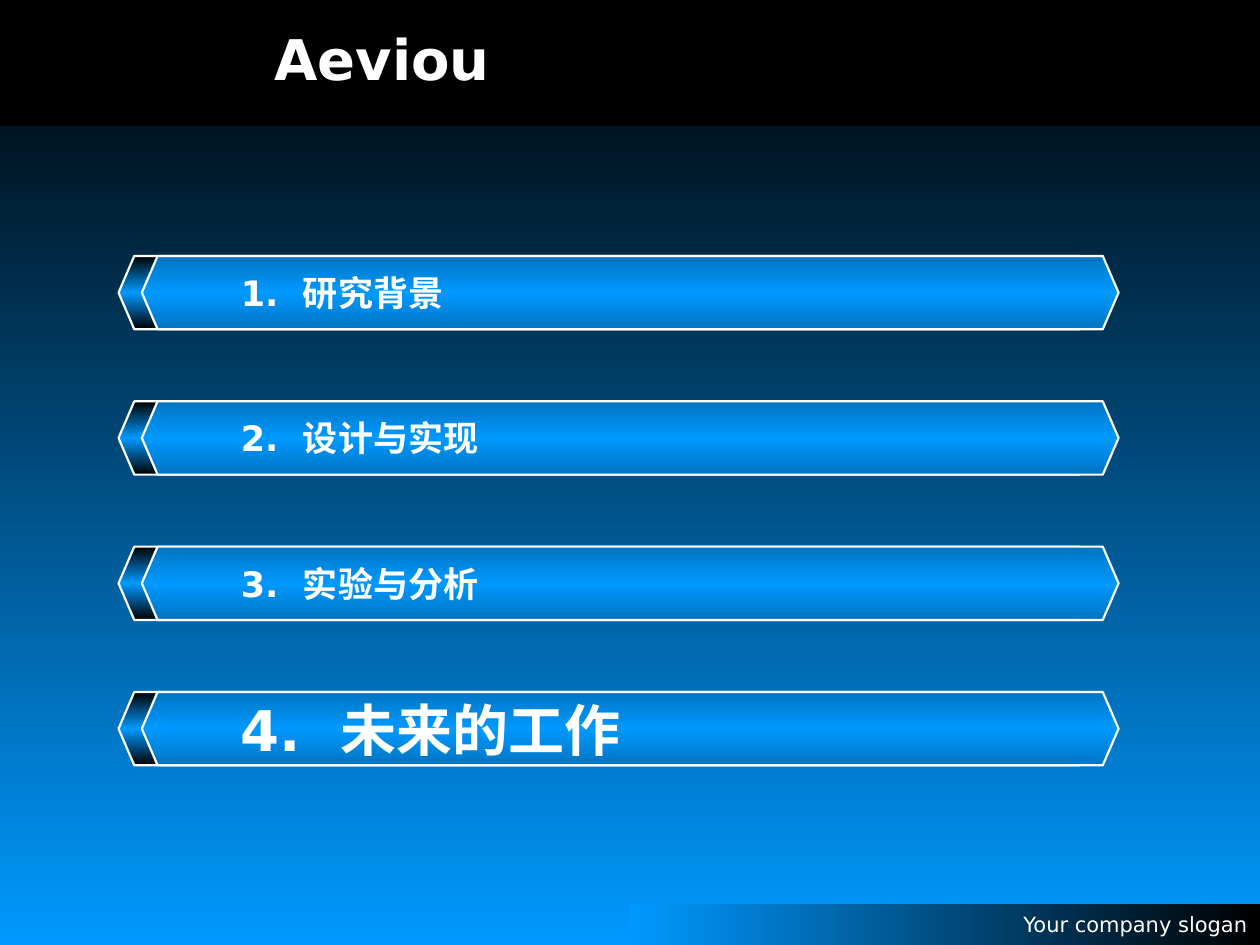
from dataclasses import dataclass

from lxml.etree import SubElement
from pptx import Presentation
from pptx.dml.color import RGBColor
from pptx.enum.shapes import MSO_SHAPE
from pptx.enum.text import MSO_ANCHOR, PP_ALIGN
from pptx.oxml.ns import qn
from pptx.util import Cm, Pt

# Content: number, heading, whether it is the current section
TITLE = "Aeviou"
SLOGAN = "Your company slogan"
SECTIONS = [
    ("1.", "研究背景", False),
    ("2.", "设计与实现", False),
    ("3.", "实验与分析", False),
    ("4.", "未来的工作", True),
]


@dataclass(frozen=True)
class Theme:
    font: str = "DejaVu Sans"
    white: str = "FFFFFF"
    black: str = "000000"
    bright: str = "0099FF"
    deep: str = "0074C1"
    title_size: int = 32
    section_size: int = 20
    current_size: int = 32
    slogan_size: int = 12
    outline: float = 1.25


THEME = Theme()

# Layout in centimetres
WIDTH, HEIGHT = 25.4, 19.05
HEADER_HEIGHT = 2.54
FOOTER_HEIGHT = 0.82
BAR_WIDTH, BAR_HEIGHT = 19.69, 1.48
BACK_LEFT, FRONT_LEFT = 2.39, 2.86
FIRST_TOP, PITCH = 5.16, 2.93
HORIZONTAL, VERTICAL = 0, 270


def fill_gradient(fill, element, colors, angle):
    """Fill with evenly spaced colour stops."""
    fill.gradient()
    fill.gradient_angle = angle
    stop_list = next(element.iter(qn("a:gsLst")))
    for stop in list(stop_list):
        stop_list.remove(stop)
    for index, color in enumerate(colors):
        position = 100000 * index // (len(colors) - 1)
        stop = SubElement(stop_list, qn("a:gs"), pos=str(position))
        SubElement(stop, qn("a:srgbClr"), val=color)


def add_shape(slide, kind, left, top, width, height):
    shape = slide.shapes.add_shape(kind, Cm(left), Cm(top), Cm(width), Cm(height))
    shape.shadow.inherit = False
    shape.line.fill.background()
    return shape


def add_run(paragraph, text, size, bold=True):
    run = paragraph.add_run()
    run.text = text
    run.font.name = THEME.font
    run.font.size = Pt(size)
    run.font.bold = bold
    run.font.color.rgb = RGBColor.from_string(THEME.white)
    return run


def start_text(shape, alignment, wrap=False):
    frame = shape.text_frame
    frame.word_wrap = wrap
    frame.vertical_anchor = MSO_ANCHOR.MIDDLE
    paragraph = frame.paragraphs[0]
    paragraph.alignment = alignment
    return paragraph


def add_bar(slide, left, top, edge_color):
    bar = add_shape(slide, MSO_SHAPE.HEXAGON, left, top, BAR_WIDTH, BAR_HEIGHT)
    bar.adjustments[0] = 0.215
    fill_gradient(bar.fill, bar.element, [edge_color, THEME.bright, edge_color], VERTICAL)
    bar.line.color.rgb = RGBColor.from_string(THEME.white)
    bar.line.width = Pt(THEME.outline)
    return bar


def main():
    presentation = Presentation()
    presentation.slide_width, presentation.slide_height = Cm(WIDTH), Cm(HEIGHT)
    slide = presentation.slides.add_slide(presentation.slide_layouts[5])

    # Background
    fill_gradient(slide.background.fill, slide.element, [THEME.black, THEME.bright], VERTICAL)

    # Header band
    header = add_shape(slide, MSO_SHAPE.RECTANGLE, 0, 0, WIDTH, HEADER_HEIGHT)
    header.fill.solid()
    header.fill.fore_color.rgb = RGBColor.from_string(THEME.black)

    # Slogan band
    footer = add_shape(slide, MSO_SHAPE.RECTANGLE, WIDTH / 2, HEIGHT - FOOTER_HEIGHT,
                       WIDTH / 2, FOOTER_HEIGHT)
    fill_gradient(footer.fill, footer.element, [THEME.bright, THEME.black], HORIZONTAL)
    add_run(start_text(footer, PP_ALIGN.RIGHT), SLOGAN, THEME.slogan_size, bold=False)

    # Title, brought in front of the header band
    title = slide.shapes.title
    title.left, title.top, title.width, title.height = Cm(5.28), Cm(0), Cm(20.12), Cm(2.34)
    add_run(start_text(title, PP_ALIGN.LEFT, wrap=True), TITLE, THEME.title_size)
    header.element.getparent().append(title.element)

    # Section bars, each a dark bar behind a bright one
    for index, (number, heading, current) in enumerate(SECTIONS):
        top = FIRST_TOP + index * PITCH
        add_bar(slide, BACK_LEFT, top, THEME.black)
        bar = add_bar(slide, FRONT_LEFT, top, THEME.deep)
        paragraph = start_text(bar, PP_ALIGN.LEFT)
        size = THEME.current_size if current else THEME.section_size
        add_run(paragraph, number, size)
        gap = add_run(paragraph, " ", size)
        gap.font._element.set("spc", str(size * 35))  # widens the gap after the number
        add_run(paragraph, heading, size)

    presentation.save("out.pptx")


if __name__ == "__main__":
    main()
